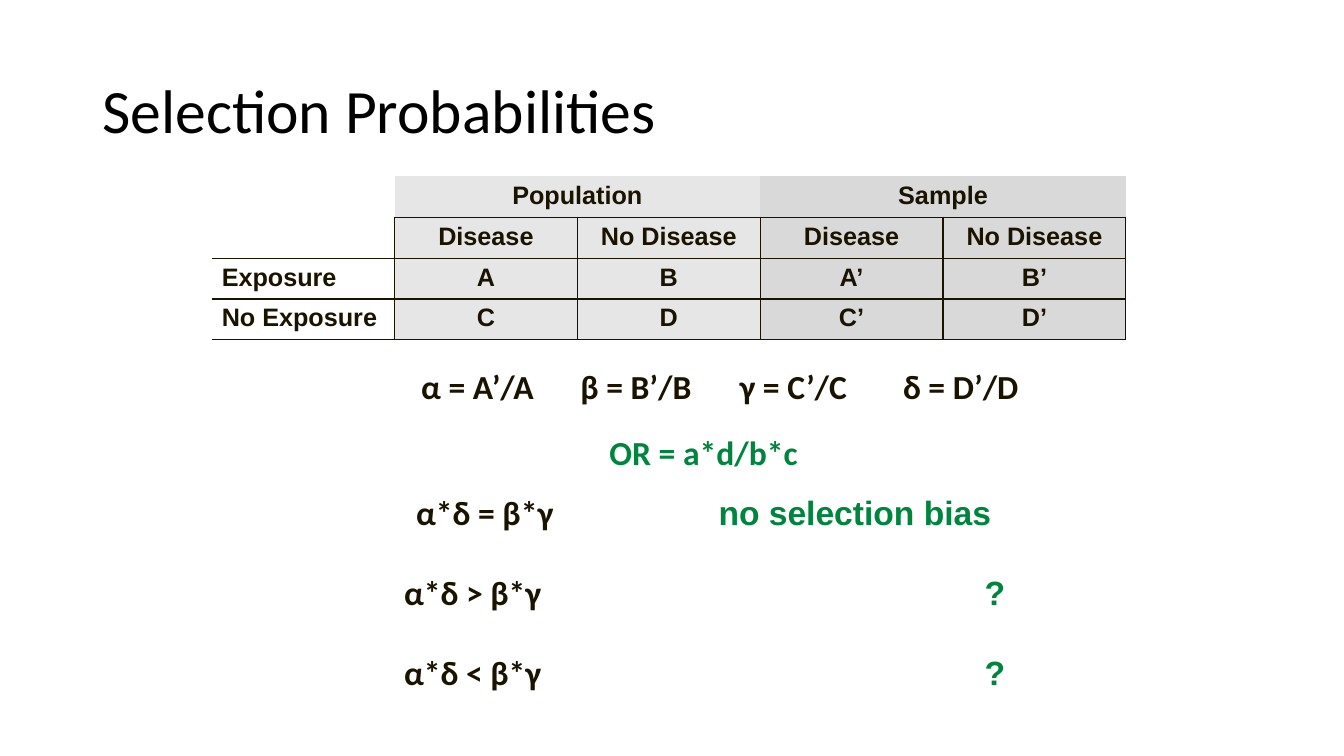
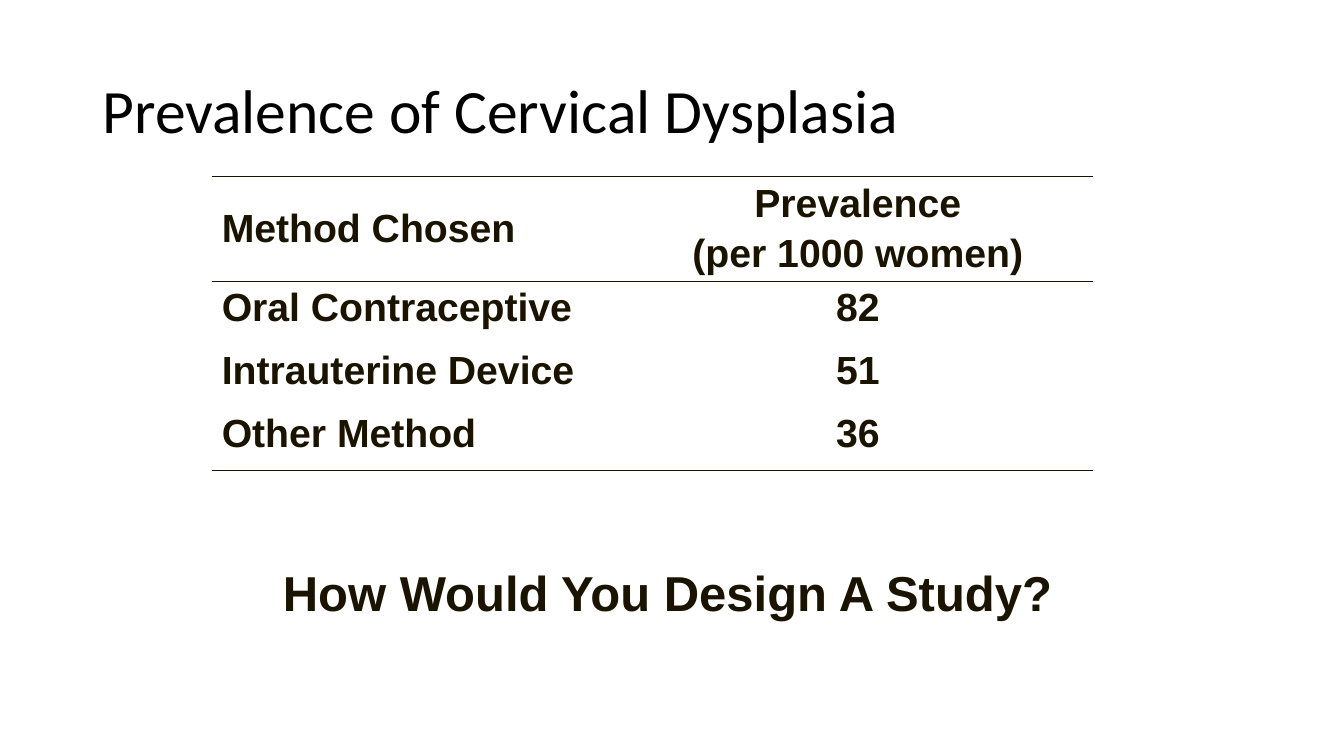
from lxml import etree
from pptx import Presentation
from pptx import util as u
from pptx.dml.color import RGBColor
from pptx.enum import text
from pptx.oxml import ns

INK, GREEN, BLACK = "1A1300", "00853E", "000000"
LIGHT, MID = "E7E6E6", "D9D9D9"
SANS, BODY = "Arial", "Calibri"
LEFT, CENTER = text.PP_ALIGN.LEFT, text.PP_ALIGN.CENTER
MIDDLE = text.MSO_ANCHOR.MIDDLE
W, H = u.Inches(13.333), u.Inches(7.5)


def rgb(color):
    """Turn a hex string into a colour."""
    return RGBColor.from_string(color)


def place(x, y, w, h):
    """Turn percentages of the slide into a box of lengths."""
    return [u.Emu(round(side * share / 100))
            for side, share in zip((W, H, W, H), (x, y, w, h))]


def style(r, size, font=SANS, color=INK, bold=True):
    """Format one run."""
    r.font.size, r.font.name, r.font.bold = u.Pt(size), font, bold
    r.font.color.rgb = rgb(color)


def add_tabs(p, stops):
    """Set left tab stops, in inches from the text edge."""
    tabs = etree.SubElement(p._p.get_or_add_pPr(), ns.qn("a:tabLst"))
    for stop in stops:
        etree.SubElement(tabs, ns.qn("a:tab"), pos=str(u.Inches(stop)), algn="l")


def add_box(s, box, anchor=text.MSO_ANCHOR.TOP):
    """Add a wrapping text box and return its text frame."""
    tf = s.shapes.add_textbox(*box).text_frame
    tf.word_wrap, tf.vertical_anchor = True, anchor
    return tf


def add_slide(prs, title):
    """Add a title-only slide with the shared title style."""
    s = prs.slides.add_slide(prs.slide_layouts[5])
    sp = s.shapes.title
    sp.left, sp.top, sp.width, sp.height = place(6.88, 5.33, 86.25, 19.33)
    tf = sp.text_frame
    tf.text, tf.vertical_anchor = title, MIDDLE
    p = tf.paragraphs[0]
    p.alignment, p.line_spacing = LEFT, 0.9
    style(p.runs[0], 44, BODY, BLACK, False)
    return s


def set_borders(cell, sides):
    """Draw the named sides of a cell and clear the others."""
    tcPr = cell._tc.get_or_add_tcPr()
    for side in "LRTB":
        ln = etree.SubElement(tcPr, ns.qn("a:ln" + side), w=str(u.Pt(1)))
        if side in sides:
            fill = etree.SubElement(ln, ns.qn("a:solidFill"))
            etree.SubElement(fill, ns.qn("a:srgbClr"), val=INK)
        else:
            etree.SubElement(ln, ns.qn("a:noFill"))


def add_table(s, box, rows, col_shares, row_shares, size, borders, fills):
    """Add a table whose first column is left aligned and the rest centred."""
    x, y, w, h = box
    table = s.shapes.add_table(len(rows), len(rows[0]), x, y, w, h).table
    table.first_row = table.horz_banding = False
    for col, share in zip(table.columns, col_shares):
        col.width = u.Emu(round(w * share / sum(col_shares)))
    for row, share in zip(table.rows, row_shares):
        row.height = u.Emu(round(h * share / sum(row_shares)))
    for i, values in enumerate(rows):
        for j, value in enumerate(values):
            cell = table.cell(i, j)
            set_borders(cell, borders(i, j))
            fill = fills(i, j)
            if fill:
                cell.fill.solid()
                cell.fill.fore_color.rgb = rgb(fill)
            else:
                cell.fill.background()
            cell.text_frame.text = value
            for p in cell.text_frame.paragraphs:
                p.alignment = CENTER if j else LEFT
                for r in p.runs:
                    style(r, size)
    return table


def add_selection_table(s, box):
    """Compare the population and sample counts side by side."""
    rows = [["", "Population", "", "Sample", ""],
            ["", *["Disease", "No Disease"] * 2],
            ["Exposure", "A", "B", "A’", "B’"],
            ["No Exposure", "C", "D", "C’", "D’"]]

    def borders(i, j):
        """Leave the outside of the headings open."""
        if i == 0:
            return "B" if j else ""
        if j == 0:
            return "RB" if i == 1 else "TRB"
        return "LRTB"

    def fills(i, j):
        """Shade the population lighter than the sample."""
        return ["", LIGHT, LIGHT, MID, MID][j]

    table = add_table(s, box, rows, [1] * 5, [1] * 4, 18, borders, fills)
    for j in (1, 3):
        table.cell(0, j).merge(table.cell(0, j + 1))


def add_definitions(s, box):
    """List the four selection probabilities on tab stops."""
    p = add_box(s, box).paragraphs[0]
    add_tabs(p, (1.58, 3.16, 4.78))
    p.text = "\t".join(f"{greek} = {c}’/{c}" for greek, c in zip("αβγδ", "ABCD"))
    style(p.runs[0], 24, BODY)


def add_comparisons(s, box):
    """Show the odds ratio and what each comparison means."""
    tf = add_box(s, box)
    p = tf.paragraphs[0]
    p.text, p.alignment = "OR = a*d/b*c", CENTER
    style(p.runs[0], 24, BODY, GREEN)
    for sign, answer, before, stops in (("=", "no selection bias", 13.5, (0.59, 3.59)),
                                        (">", "?", 28.5, (0.47, 6.23)),
                                        ("<", "?", 28.5, (0.47, 6.23))):
        p = tf.add_paragraph()
        p.alignment, p.space_before = LEFT, u.Pt(before)
        add_tabs(p, stops)
        for words, font, color in ((f"\tα*δ {sign} β*γ\t", BODY, INK),
                                   (answer, SANS, GREEN)):
            r = p.add_run()
            r.text = words
            style(r, 24, font, color)


def add_prevalence_table(s, box):
    """Show prevalence by contraceptive method, ruled above and below."""
    rows = [["Method Chosen", "Prevalence\n(per 1000 women)"],
            ["Oral Contraceptive", "82"],
            ["Intrauterine Device", "51"],
            ["Other Method", "36"]]
    table = add_table(s, box, rows, (4.08, 4.66), (5, 3, 3, 3), 28,
                      lambda i, j: ("TB", "T", "", "B")[i], lambda i, j: "")
    for j in range(2):
        cell = table.cell(0, j)
        cell.vertical_anchor = MIDDLE
        cell.margin_top = cell.margin_bottom = u.Inches(0.03)
    table.cell(0, 1).text_frame.paragraphs[1].space_before = u.Pt(5)


def add_question(s, box):
    """Add the closing question."""
    tf = add_box(s, box, MIDDLE)
    tf.text = "How Would You Design A Study?"
    tf.paragraphs[0].alignment = CENTER
    style(tf.paragraphs[0].runs[0], 35)


def main():
    """Build and save the presentation."""
    prs = Presentation()
    prs.slide_width, prs.slide_height = W, H
    s = add_slide(prs, "Selection Probabilities")
    add_selection_table(s, place(15.75, 23.33, 68.03, 21.6))
    add_definitions(s, place(30.6, 47.73, 53.1, 6.67))
    add_comparisons(s, place(25.8, 56.53, 53.1, 41.3))
    s = add_slide(prs, "Prevalence of Cervical Dysplasia")
    add_prevalence_table(s, place(15.75, 23.33, 65.55, 38.87))
    add_question(s, place(15, 70, 69.4, 16.67))
    prs.save("out.pptx")


if __name__ == "__main__":
    main()
